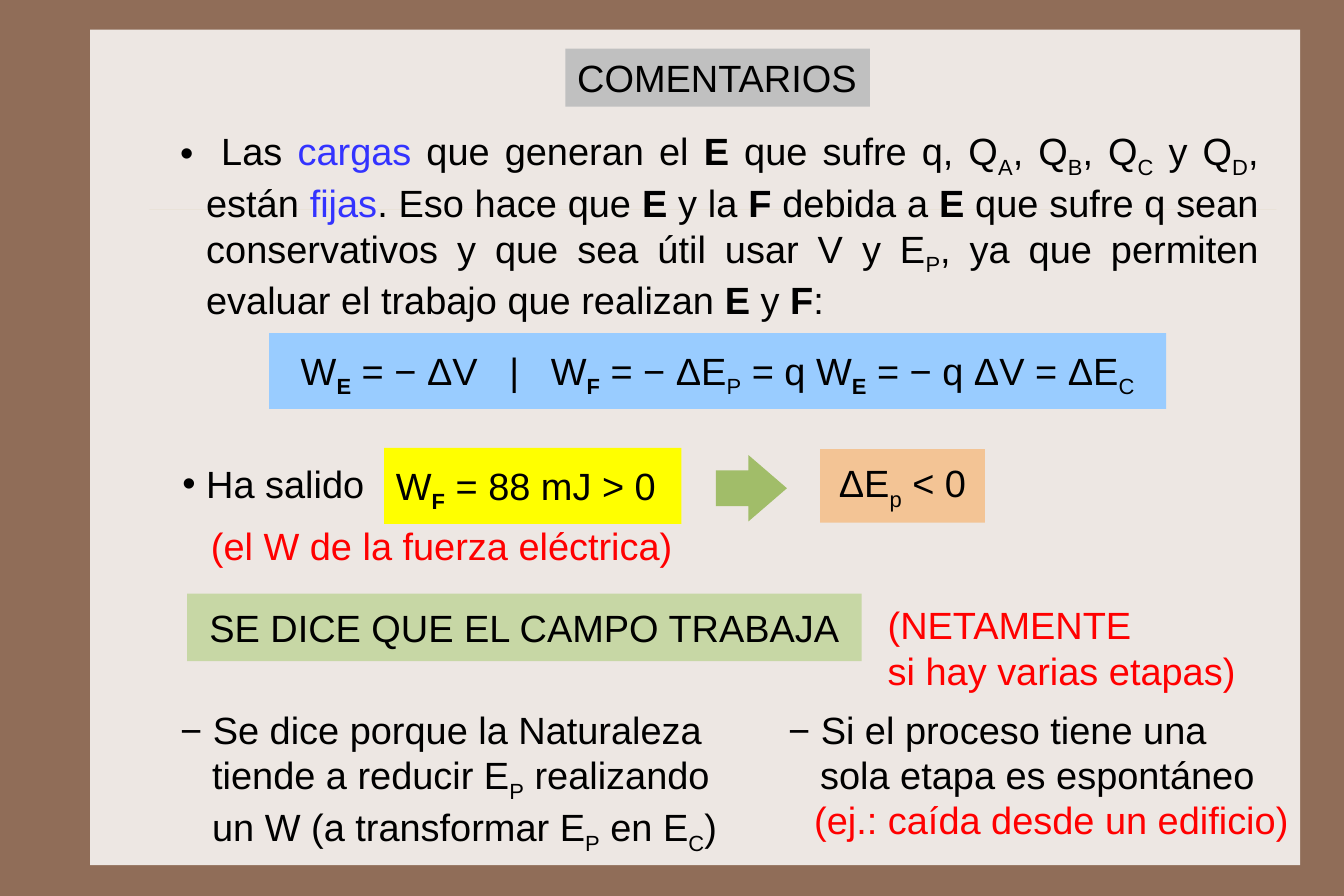
from dataclasses import dataclass

from lxml.etree import SubElement
from pptx import Presentation
from pptx.dml.color import RGBColor as RGB
from pptx.enum.shapes import MSO_CONNECTOR as LINK, MSO_SHAPE as KIND
from pptx.enum.text import MSO_ANCHOR as ANCHOR, PP_ALIGN as ALIGN
from pptx.oxml.ns import qn
from pptx.util import Emu, Pt

PX = 9525  # EMU per px, 96 px to the inch
HUES = {
    "brown": "906D58", "paper": "EDE7E3", "rule": "CBBD83", "gray": "C0C0C0",
    "sky": "99CCFF", "yellow": "FFFF00", "peach": "F3C495", "leaf": "A1BD69",
    "sage": "C7D7A5", "black": "000000", "red": "FF0000", "blue": "3333FF",
}
# Inline marks: each one switches its format on and off within a text.
MARKS = {
    "*": {"b": "1"},
    "_": {"baseline": "-25000"},
    "~": {"b": "1", "baseline": "-25000"},
    "#": {"spc": "1333"},
    "^": {},
}


@dataclass
class Box:
    """A text frame, filled or not; each line of text is one paragraph."""
    left: int
    top: int
    width: int
    height: int
    text: str
    fill: str = ""
    hue: str = "black"
    align: ALIGN = ALIGN.LEFT
    pad: tuple[int, int] = (10, 9)
    hang: int = 0
    bullet: str = ""


BOXES = [
    Box(477, 41, 257, 49, "COMENTARIOS", "gray", pad=(10, 5)),
    Box(142, 99, 930, 173,
        " Las ^cargas^ que generan el *E* que sufre q, Q_A_, Q_B_, Q_C_ y Q_D_, "
        "están ^fijas^. Eso hace que *E* y la *F* debida a *E* que sufre q sean "
        "conservativos y que sea útil usar V y E_P_, ya que permiten evaluar "
        "el trabajo que realizan *E* y *F*:",
        align=ALIGN.JUSTIFY, hang=22, bullet="•"),
    Box(227, 281, 757, 64,
        "W~E~ = − ΔV# #|# #W~F~ = − ΔE_P_ = q W~E~ = − q ΔV = ΔE_C_",
        "sky", align=ALIGN.CENTER, pad=(13, 12)),
    Box(144, 384, 178, 49, "Ha salido", pad=(10, 5), hang=20, bullet="•"),
    Box(324, 378, 251, 64, "W~F~ = 88 mJ > 0", "yellow", pad=(10, 12)),
    Box(692, 379, 139, 62, "ΔE_p_ < 0", "peach", align=ALIGN.CENTER),
    Box(168, 432, 414, 57, "(el W de la fuerza eléctrica)", hue="red"),
    Box(158, 501, 569, 57, "SE DICE QUE EL CAMPO TRABAJA", "sage",
        align=ALIGN.CENTER),
    Box(739, 499, 315, 95, "(NETAMENTE\nsi hay varias etapas)", hue="red"),
    Box(142, 587, 521, 133,
        "− Se dice porque la Naturaleza\ntiende a reducir E_P_ realizando\n"
        "un W (a transformar E_P_ en E_C_)", hang=27),
    Box(655, 587, 447, 95,
        "− Si el proceso tiene una\nsola etapa es espontáneo", hang=27),
    Box(677, 663, 429, 57, "(ej.: caída desde un edificio)", hue="red"),
]


def px(*sizes: int) -> list[Emu]:
    return [Emu(size * PX) for size in sizes]


def tint(name: str) -> RGB:
    return RGB.from_string(HUES[name])


def split(text: str) -> list[tuple[str, str]]:
    """Cut marked text into (words, mark) pieces."""
    parts, mark, words = [], "", ""
    for char in text:
        if char in MARKS:
            if words:
                parts.append((words, mark))
            mark, words = "" if mark else char, ""
        else:
            words += char
    return parts + [(words, mark)] if words else parts


def paint(slide, kind: KIND, place: tuple[int, ...], fill: str):
    shape = slide.shapes.add_shape(kind, *px(*place))
    shape.shadow.inherit = False
    shape.fill.solid()
    shape.fill.fore_color.rgb = tint(fill)
    shape.line.fill.background()
    return shape


def rule(slide, left: int, right: int, top: int) -> None:
    """Draw a faint level line."""
    line = slide.shapes.add_connector(LINK.STRAIGHT, *px(left, top, right, top))
    line.line.color.rgb = tint("rule")
    line.line.width = Pt(0.25)
    props = line._element.spPr
    color = props.find(".//" + qn("a:srgbClr"))
    SubElement(color, qn("a:alpha")).set("val", "30000")
    SubElement(props, qn("a:effectLst"))


def write(para, text: str, hue: str) -> None:
    for words, mark in split(text):
        run = para.add_run()
        run.text = words
        font = run.font
        for name, value in {"name": "Arial", "size": Pt(24)}.items():
            setattr(font, name, value)
        font.color.rgb = tint("blue" if mark == "^" else hue)
        for name, value in MARKS.get(mark, {}).items():
            run._r.get_or_add_rPr().set(name, value)


def indent(para, hang: int, first: bool, bullet: str) -> None:
    props = para._p.get_or_add_pPr()
    props.set("marL", str(hang * PX))
    props.set("indent", str(-hang * PX if first else 0))
    if bullet:
        SubElement(props, qn("a:buFont")).set("typeface", "Arial")
        SubElement(props, qn("a:buChar")).set("char", bullet)


def draw(slide, box: Box) -> None:
    place = (box.left, box.top, box.width, box.height)
    if box.fill:
        shape = paint(slide, KIND.RECTANGLE, place, box.fill)
    else:
        shape = slide.shapes.add_textbox(*px(*place))
    frame = shape.text_frame
    side, edge = px(*box.pad)
    layout = {
        "word_wrap": True, "vertical_anchor": ANCHOR.TOP,
        "margin_left": side, "margin_right": side,
        "margin_top": edge, "margin_bottom": edge,
    }
    for name, value in layout.items():
        setattr(frame, name, value)
    for row, text in enumerate(box.text.split("\n")):
        para = frame.add_paragraph() if row else frame.paragraphs[0]
        para.alignment = box.align
        if box.hang:
            indent(para, box.hang, row == 0, box.bullet)
        write(para, text, box.hue)


def main() -> None:
    deck = Presentation()
    deck.slide_width, deck.slide_height = px(1134, 756)
    slide = deck.slides.add_slide(deck.slide_layouts[6])
    back = slide.background.fill
    back.solid()
    back.fore_color.rgb = tint("brown")
    paint(slide, KIND.RECTANGLE, (76, 25, 1021, 705), "paper")
    rule(slide, 126, 1077, 177)
    arrow = paint(slide, KIND.RIGHT_ARROW, (604, 384, 60, 56), "leaf")
    arrow.adjustments[0], arrow.adjustments[1] = 0.54, 0.58
    for box in BOXES:
        draw(slide, box)
    deck.save("out.pptx")


if __name__ == "__main__":
    main()
